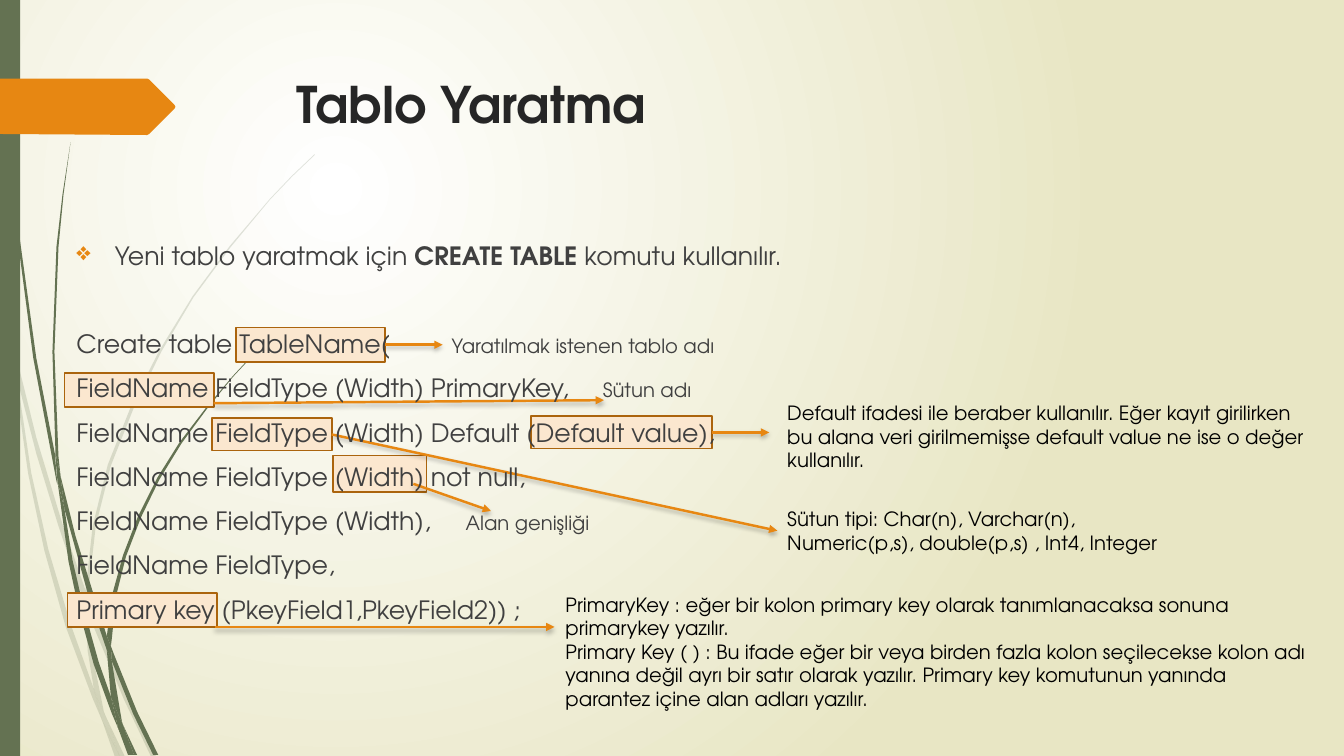
import lxml.etree
import pptx
import pptx.dml.color
import pptx.enum.shapes
import pptx.enum.text
import pptx.oxml.ns
import pptx.util

Inches = pptx.util.Inches
Pt = pptx.util.Pt
RGB = pptx.dml.color.RGBColor
qn = pptx.oxml.ns.qn
RECT = pptx.enum.shapes.MSO_SHAPE.RECTANGLE

WHITE = RGB(0xFF, 0xFF, 0xFF)
CREAM = RGB(0xE8, 0xE6, 0xC4)
GREEN = RGB(0x64, 0x72, 0x52)
ORANGE = RGB(0xE7, 0x87, 0x12)
PEACH = RGB(0xFB, 0xE7, 0xCF)
BROWN = RGB(0xAB, 0x64, 0x0D)
BLACK = RGB(0, 0, 0)
DARK = RGB(0x26, 0x26, 0x26)
GRAY = RGB(0x40, 0x40, 0x40)
FONT = "TeX Gyre Adventor"

PALE = [
    [(.11, 3.5), (.09, 3.22), (0, 2.82), (0, 2.99), (.1, 3.44)],
    [(.58, 5.22), (.84, 5.99), (.85, 5.86), (.62, 5.2), (.36, 4.34), (.14, 3.45), (.17, 3.76), (.36, 4.5)],
    [(.92, 6.07), (.88, 5.96), (.88, 6.1), (1.23, 6.94), (1.5, 7.51), (1.55, 7.51), (1.27, 6.92)],
    [(1.19, 7.51), (1.24, 7.51), (1.05, 7.11)],
    [(.93, 6.83), (.7, 6.19), (.48, 5.45), (.31, 4.69), (.17, 3.76), (.11, 3.5), (.28, 4.7), (.44, 5.46),
     (.65, 6.21), (.92, 6.93), (1.01, 7.14), (.99, 7.07)],
    [(.84, 5.99), (.87, 6.46), (.93, 6.83), (.96, 6.92), (1.05, 7.11), (1.03, 7.06), (.91, 6.46), (.88, 6.1),
     (.88, 6.08)],
    [(.88, 5.84), (.95, 5.22), (1.1, 4.62), (1.33, 4.04), (1.6, 3.49), (1.92, 2.95), (2.29, 2.45), (2.68, 1.98),
     (2.9, 1.75), (3.12, 1.54), (3.12, 1.53), (2.89, 1.75), (2.68, 1.97), (2.28, 2.44), (1.91, 2.94),
     (1.58, 3.48), (1.3, 4.03), (1.07, 4.61), (.92, 5.22), (.85, 5.84), (.85, 5.86), (.88, 5.96)],
    [(1.01, 7.14), (1.14, 7.51), (1.19, 7.51)],
    [(.88, 6.08), (.88, 6.1), (.88, 5.96), (.85, 5.86), (.84, 5.99)],
    [(.96, 6.92), (.93, 6.83), (.99, 7.07), (1.01, 7.14), (1.19, 7.51), (1.05, 7.11)],
]
DEEP = [
    [(.07, 1.1), (.17, 2.33), (.33, 3.55), (.56, 4.77), (.57, 4.81), (.55, 4.57), (.55, 4.53), (.36, 3.55),
     (.19, 2.32), (.08, 1.09), (.05, .48), (.04, 0), (.03, 0), (.04, .48)],
    [(.88, 5.92), (1.06, 6.45), (1.06, 6.33), (1.06, 6.31), (.93, 5.9), (.75, 5.32), (.6, 4.72), (.64, 5.05)],
    [(1.13, 6.49), (1.1, 6.41), (1.11, 6.56), (1.32, 7.08), (1.52, 7.49), (1.57, 7.49), (1.36, 7.06)],
    [(1.1, 6.91), (.98, 6.57), (.84, 6.07), (.72, 5.56), (.64, 5.05), (.57, 4.77), (.68, 5.57), (.79, 6.08),
     (.93, 6.59), (1.11, 7.08), (1.17, 7.22), (1.16, 7.17)],
    [(.6, 4.72), (.58, 4.53), (.54, 3.49), (.58, 2.45), (.63, 1.93), (.7, 1.41), (.62, 1.93), (.56, 2.45),
     (.52, 3.49), (.55, 4.49)],
    [(1.33, 7.49), (1.36, 7.49), (1.22, 7.19)],
    [(.57, 4.77), (.64, 5.05), (.6, 4.72), (.55, 4.49), (.55, 4.53)],
    [(1.11, 6.33), (1.15, 5.92), (1.25, 5.52), (1.4, 5.13), (1.58, 4.76), (1.8, 4.4), (2.05, 4.06), (2.31, 3.74),
     (2.45, 3.59), (2.61, 3.44), (2.6, 3.44), (2.45, 3.58), (2.31, 3.73), (2.04, 4.05), (1.78, 4.39),
     (1.56, 4.74), (1.37, 5.12), (1.22, 5.51), (1.11, 5.91), (1.06, 6.31), (1.1, 6.41)],
    [(1.17, 7.22), (1.27, 7.49), (1.31, 7.49)],
    [(1.06, 6.45), (1.1, 6.91), (1.16, 7.06), (1.22, 7.19), (1.21, 7.16), (1.11, 6.56), (1.09, 6.51)],
    [(1.06, 6.45), (1.11, 6.56), (1.1, 6.41), (1.06, 6.31)],
    [(1.16, 7.06), (1.1, 6.91), (1.16, 7.17), (1.17, 7.22), (1.3, 7.49), (1.33, 7.49), (1.22, 7.19)],
]
FLAG = [(0, .78), (1.46, .78), (1.48, .79), (1.73, 1.04), (1.74, 1.06), (1.73, 1.08), (1.48, 1.33), (1.46, 1.34),
        (0, 1.33)]

MARKS = {
    "key": (.01, 3.55, 1.48, .34),
    "default": (4.61, 1.8, 1.79, .32),
    "width": (2.64, 2.19, .93, .36),
    "type": (1.44, 1.82, 1.19, .32),
    "field": (-.02, 1.37, 1.48, .34),
    "table": (1.68, .92, 1.48, .34),
}
ARROWS = {
    "table": (3.16, 1.09, 3.73, 1.09),
    "field": (1.46, 1.67, 5.33, 1.64),
    "default": (6.4, 1.96, 6.97, 1.96),
    "type": (2.63, 1.98, 7.05, 2.94),
    "width": (3.44, 2.47, 4.21, 2.74),
    "key": (1.47, 3.89, 4.84, 3.89),
}
JOINED = ("table", "default", "type")
LINES = [
    ("Create table TableName(", "Yaratılmak istenen tablo adı", 3.72),
    ("FieldName FieldType (Width) PrimaryKey,", "Sütun adı", 5.22),
    ("FieldName FieldType (Width) Default (Default value),", "", 0),
    ("FieldName FieldType (Width) not null,", "", 0),
    ("FieldName FieldType (Width),", "Alan genişliği", 3.86),
    ("FieldName FieldType,", "", 0),
    ("Primary key (PkeyField1,PkeyField2)) ;", "", 0),
]


def add(parent, tag, **attrs):
    return lxml.etree.SubElement(parent, qn(tag), {k: str(v) for k, v in attrs.items()})


def paint(shape, fill, line=None):
    shape.shadow.inherit = False
    shape.fill.solid()
    shape.fill.fore_color.rgb = fill
    if line is None:
        shape.line.fill.background()
    else:
        shape.line.color.rgb = line
        shape.line.width = Pt(1.25)


def outline(slide, x, y, points, fill):
    spots = [(Inches(x + a), Inches(y + b)) for a, b in points]
    pen = slide.shapes.build_freeform(*spots[0])
    pen.add_line_segments(spots[1:], close=True)
    shape = pen.convert_to_shape()
    paint(shape, fill)
    return shape


def style(run, size, color, bold=False):
    run.font.name = FONT
    run.font.size = Pt(size)
    run.font.color.rgb = color
    run.font.bold = bold


def box(slide, x, y, w, h):
    shape = slide.shapes.add_textbox(Inches(x), Inches(y), Inches(w), Inches(h))
    shape.text_frame.word_wrap = True
    return shape


def label(slide, x, y, w, h, text, size, color, bold=False):
    shape = box(slide, x, y, w, h)
    shape.text_frame.text = text
    for para in shape.text_frame.paragraphs:
        style(para.runs[0], size, color, bold)
    return shape


def backdrop(slide, x, y, w, h):
    fill = slide.background.fill
    fill.gradient()
    for stop, color, place in zip(fill.gradient_stops, (WHITE, CREAM), (0, 1)):
        stop.color.rgb = color
        stop.position = place
    old = next(slide.element.iter(qn("a:lin")))
    grad = old.getparent()
    grad.remove(old)
    add(add(grad, "a:path", path="circle"), "a:fillToRect", l=50000, t=50000, r=100000, b=100000)
    for points in PALE:
        wisp = outline(slide, x, y, points, GREEN)
        add(wisp.element.spPr.find(qn("a:solidFill"))[0], "a:alpha", val=20000)
    for points in DEEP:
        outline(slide, x, y, points, GREEN)
    bar = slide.shapes.add_shape(RECT, Inches(x), Inches(y), Inches(.2), Inches(h))
    paint(bar, GREEN)
    outline(slide, x, y, FLAG, ORANGE)


def frames(slide, x, y):
    made = {}
    for name, (dx, dy, w, h) in MARKS.items():
        made[name] = slide.shapes.add_shape(RECT, Inches(x + dx), Inches(y + dy), Inches(w), Inches(h))
        paint(made[name], PEACH, BROWN)
    return made


def arrows(slide, x, y, marks, types):
    for name, (ax, ay, bx, by) in ARROWS.items():
        arrow = slide.shapes.add_connector(
            pptx.enum.shapes.MSO_CONNECTOR.STRAIGHT,
            Inches(x + ax), Inches(y + ay), Inches(x + bx), Inches(y + by))
        arrow.line.color.rgb = ORANGE
        arrow.line.width = Pt(1.75)
        props = arrow.element.spPr
        add(props.find(qn("a:ln")), "a:tailEnd", type="triangle")
        shade = add(add(props, "a:effectLst"), "a:outerShdw", blurRad=Pt(3), dist=Pt(2), dir=5400000, rotWithShape=0)
        add(add(shade, "a:srgbClr", val=BLACK), "a:alpha", val=25000)
        if name in JOINED:
            arrow.begin_connect(marks[name], 3)
        if name == "type":
            arrow.end_connect(types, 1)


def code(slide, x, y, w, h):
    frame = box(slide, x, y, w, h).text_frame
    intro = frame.paragraphs[0]
    props = intro._p.get_or_add_pPr()
    props.set("marL", str(Inches(.38)))
    props.set("indent", str(-Inches(.38)))
    add(add(props, "a:buClr"), "a:srgbClr", val=ORANGE)
    add(props, "a:buChar", char="❖")
    for text, bold in (("Yeni tablo yaratmak için ", False), ("CREATE TABLE ", True), ("komutu kullanılır.", False)):
        run = intro.add_run()
        run.text = text
        style(run, 18, GRAY, bold)
    for row, (text, note, stop) in enumerate(LINES):
        para = frame.add_paragraph()
        if note:
            tabs = add(para._p.get_or_add_pPr(), "a:tabLst")
            add(tabs, "a:tab", pos=Inches(stop), algn="l")
        para.space_before = Pt(10 if row else 41.6)
        para.text = text
        style(para.runs[0], 18, GRAY)
        if note:
            run = para.add_run()
            run.text = "\t" + note
            style(run, 14, GRAY)


def notes(slide, x, y):
    rows = [
        (2.2, 1.9, 5.4, .81, "Default ifadesi ile beraber kullanılır. Eğer kayıt girilirken bu alana veri "
         "girilmemişse default value ne ise o değer kullanılır."),
        (2.2, 2.95, 3.94, .57, "Sütun tipi: Char(n), Varchar(n), Numeric(p,s), double(p,s) , Int4, Integer"),
        (0, 3.8, 7.59, 1.28, "PrimaryKey : eğer bir kolon primary key olarak tanımlanacaksa sonuna primarykey "
         "yazılır.\nPrimary Key ( ) : Bu ifade eğer bir veya birden fazla kolon seçilecekse kolon adı yanına "
         "değil ayrı bir satır olarak yazılır. Primary key komutunun yanında parantez içine alan adları yazılır."),
    ]
    made = [label(slide, x + dx, y + dy, w, h, text, 14, BLACK) for dx, dy, w, h, text in rows]
    for shape in made:
        shape.text_frame.auto_size = pptx.enum.text.MSO_AUTO_SIZE.SHAPE_TO_FIT_TEXT
    return made


def main():
    deck = pptx.Presentation()
    deck.slide_width, deck.slide_height = Inches(13.33), Inches(7.5)
    slide = deck.slides.add_slide(deck.slide_layouts[6])
    backdrop(slide, 0, 0, 13.33, 7.5)
    marks = frames(slide, .66, 2.33)
    label(slide, 2.84, .68, 9.75, 1.4, "Tablo Yaratma", 36, DARK, True)
    types = notes(slide, 5.51, 2.03)[1]
    arrows(slide, .66, 2.33, marks, types)
    code(slide, .66, 2.33, 11.92, 4.82)
    deck.save("out.pptx")


if __name__ == "__main__":
    main()
